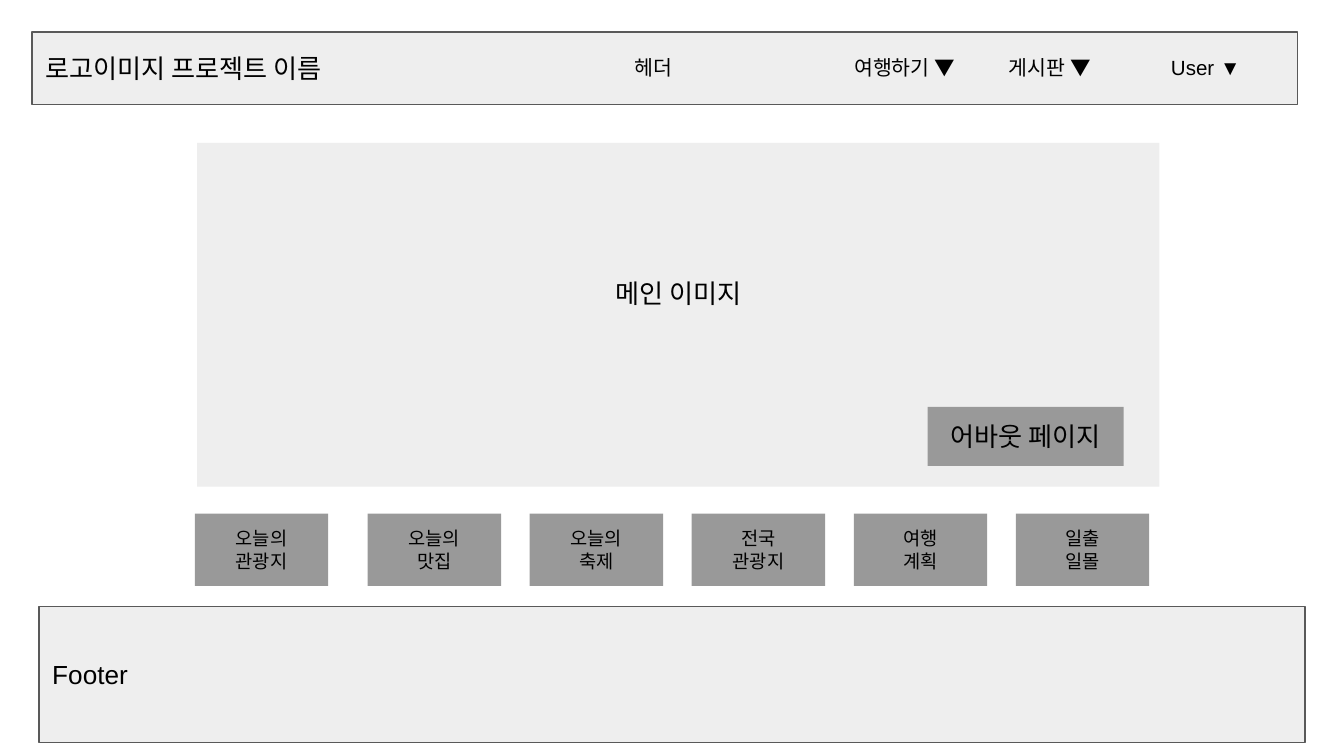
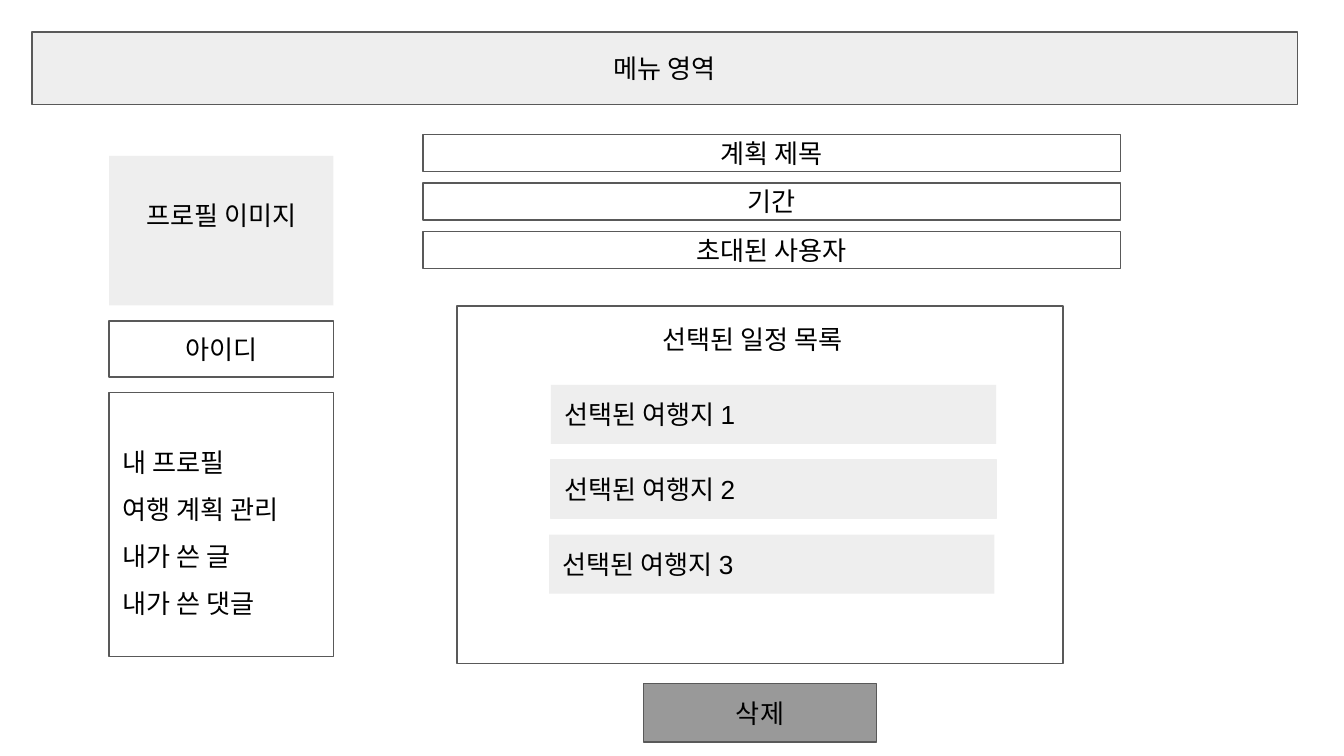
from pptx import Presentation, util as u
from pptx.dml.color import RGBColor
from pptx.enum import shapes, text

LIGHT, DARK, WHITE, EDGE, BLACK = "EEEEEE", "999999", "FFFFFF", "595959", "000000"
FONT = "Arial"
LEFT, CENTER = text.PP_ALIGN.LEFT, text.PP_ALIGN.CENTER
TOP, MIDDLE = text.MSO_ANCHOR.TOP, text.MSO_ANCHOR.MIDDLE
INSET = 7.2

HEADER = (17.1, 17.1, 678.2, 38.9)
NAV = [("여행하기 ▼", 445.7), ("User ▼", 607), ("게시판 ▼", 523.4), ("헤더", 311)]
CARDS = [("오늘의", "관광지"), ("오늘의", "맛집"), ("오늘의", "축제"),
         ("전국", "관광지"), ("여행", "계획"), ("일출", "일몰")]
PROFILE_MENU = ["내 프로필", "여행 계획 관리", "내가 쓴 글", "내가 쓴 댓글"]
PLAN_FIELDS = ["계획 제목", "기간", "초대된 사용자"]
PLACES = [("선택된 여행지 1", 295.2, None), ("선택된 여행지 2", 295.2, LIGHT),
          ("선택된 여행지 3", 294.2, None)]


def color(value):
    return RGBColor.from_string(value)


def write(sp, lines, size=14, align=CENTER, anchor=MIDDLE, top=INSET, spacing=None):
    tf = sp.text_frame
    tf.word_wrap = True
    tf.vertical_anchor = anchor
    tf.margin_left = tf.margin_right = tf.margin_bottom = u.Pt(INSET)
    tf.margin_top = u.Pt(top)
    for i, line in enumerate(lines):
        p = tf.add_paragraph() if i else tf.paragraphs[0]
        p.alignment = align
        if spacing:
            p.line_spacing = spacing
        r = p.add_run()
        r.text = line
        r.font.size = u.Pt(size)
        r.font.name = FONT
        r.font.color.rgb = color(BLACK)


def box(s, at, lines=(), fill=LIGHT, line=None, **fmt):
    sp = s.shapes.add_shape(shapes.MSO_SHAPE.RECTANGLE, *map(u.Pt, at))
    sp.shadow.inherit = False
    sp.fill.solid()
    sp.fill.fore_color.rgb = color(fill)
    if line:
        sp.line.color.rgb = color(line)
        sp.line.width = u.Pt(0.75)
    else:
        sp.line.fill.background()
    write(sp, lines, **fmt)


def new_slide(prs, title, align):
    s = prs.slides.add_slide(prs.slide_layouts[6])
    box(s, HEADER, [title], line=EDGE, align=align)
    return s


def main_page(prs):
    s = new_slide(prs, "로고이미지 프로젝트 이름", LEFT)
    box(s, (105.6, 76.5, 515.5, 184.3), ["메인 이미지"], anchor=TOP, top=72)
    box(s, (497, 218, 105, 31.7), ["어바웃 페이지"], fill=DARK, anchor=TOP)
    for i, lines in enumerate(CARDS):
        left = 197 + 86.8 * (i - 1) if i else 104.4
        box(s, (left, 275.2, 71.5, 38.7), lines, fill=DARK, size=10, anchor=TOP)
    for label, left in NAV:
        box(s, (left, 22.3, 77.8, 28.1), [label], size=11, anchor=TOP)
    box(s, (20.9, 324.8, 678.2, 73.2), ["Footer"], line=EDGE, align=LEFT)


def plan_page(prs):
    s = new_slide(prs, "메뉴 영역", CENTER)
    left, width = 58.5, 120.2
    box(s, (left, 83.5, width, 80.1), ["프로필 이미지"], anchor=TOP, top=23.2)
    box(s, (left, 172, width, 30.1), ["아이디"], fill=WHITE, line=EDGE)
    box(s, (left, 210.2, width, 141.6), PROFILE_MENU, fill=WHITE, line=EDGE,
        align=LEFT, spacing=1.5)
    for i, label in enumerate(PLAN_FIELDS):
        box(s, (226.7, 72 + 26 * i, 373.7, 19.9), [label], fill=WHITE, line=EDGE)
    box(s, (244.8, 164, 324.7, 191.5), fill=WHITE, line=EDGE)
    for i, (label, x, edge) in enumerate(PLACES):
        box(s, (x, 206.2 + 40.1 * i, 238.5, 31.7), [label], line=edge,
            align=LEFT, anchor=TOP)
    sp = s.shapes.add_textbox(*map(u.Pt, (347.6, 166.3, 200, 31.7)))
    write(sp, ["선택된 일정 목록"], align=LEFT, anchor=TOP)
    box(s, (344.9, 366.3, 124.6, 31.2), ["삭제"], fill=DARK, line=EDGE)


def main():
    prs = Presentation()
    prs.slide_width, prs.slide_height = u.Pt(720), u.Pt(405)
    main_page(prs)
    plan_page(prs)
    prs.save("out.pptx")


if __name__ == "__main__":
    main()
